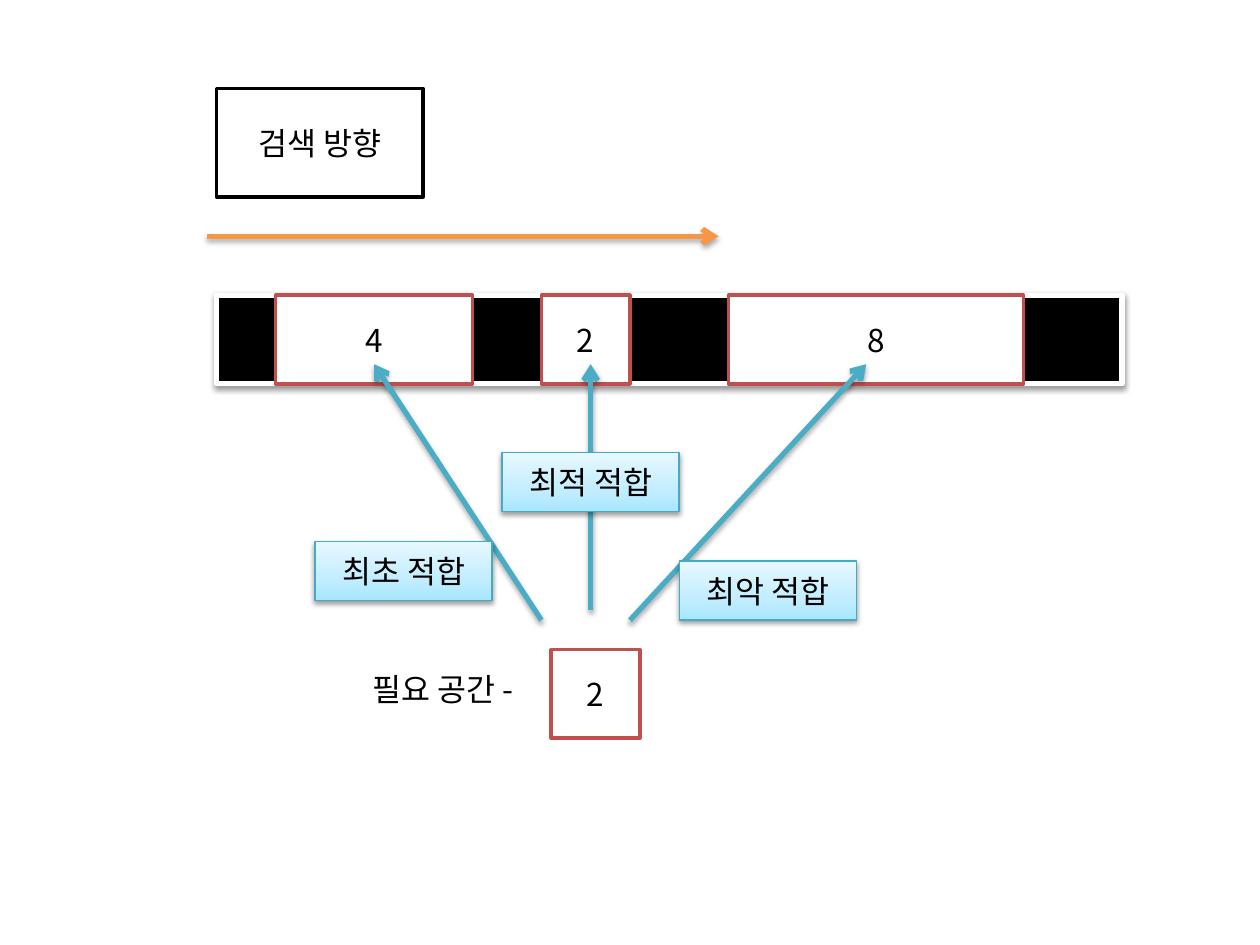
"""Draw a slide comparing first, best and worst fit memory allocation."""
from copy import deepcopy

from pptx import Presentation, util as u
from pptx.dml.color import RGBColor
from pptx.enum import shapes, text
from pptx.oxml import parse_xml
from pptx.oxml.ns import nsdecls, qn

FONT = "Noto Sans CJK KR"
GRADIENT = [(0, "A7E6FF"), (0.35, "C1EDFF"), (1, "E7F8FF")]

deck = Presentation()
deck.slide_width, deck.slide_height = u.Inches(10), u.Inches(7.5)
page = deck.slides.add_slide(deck.slide_layouts[6])
unit = deck.slide_width / 128


def paint(target, color):
    target.rgb = RGBColor.from_string(color)


def add_shadow(item, opacity, distance):
    item._element.spPr.append(parse_xml(
        f'<a:effectLst {nsdecls("a")}><a:outerShdw blurRad="{u.Pt(3.1)}" dist="{u.Pt(distance)}" '
        f'dir="5400000" rotWithShape="0"><a:srgbClr val="000000"><a:alpha val="{opacity * 1000}"/>'
        '</a:srgbClr></a:outerShdw></a:effectLst>'))


memory = [("", 22, 30, 92, 9, "000000", "FFFFFF", 3)]
blocks = [(words, left, top, width, 9, "FFFFFF", "C0504D", 2) for words, left, top, width in [
    ("2", 55, 30, 9), ("4", 28, 30, 20), ("8", 74, 30, 30), ("2", 56, 66, 9)]]
need = [("필요 공간 -", 35, 65, 20, 10, "FFFFFF", "FFFFFF", 2)]
arrows = [(55, 63, 38, 37, "4BACC6"), (60, 62, 60, 37, "4BACC6"),
          (64, 63, 88, 37, "4BACC6"), (21, 24, 73, 24, "F79646")]
fits = [(words, left, top, 18, 6, None, "46AAC5", 0.75) for words, left, top in [
    ("최적 적합", 51, 46), ("최초 적합", 32, 55), ("최악 적합", 69, 57)]]
direction = [("검색 방향", 22, 9, 21, 11, "FFFFFF", "000000", 2)]

for item in memory + blocks + need + arrows + fits + direction:
    if item in arrows:
        *ends, color = item
        arrow = page.shapes.add_connector(
            shapes.MSO_CONNECTOR.STRAIGHT, *[round(end * unit) for end in ends])
        paint(arrow.line.color, color)
        arrow.line.width = u.Pt(3)
        arrow.line._get_or_add_ln().append(parse_xml(f'<a:tailEnd {nsdecls("a")} type="arrow"/>'))
        add_shadow(arrow, 35, 1.8)
        continue

    words, *place, fill, outline, weight = item
    box = page.shapes.add_shape(
        shapes.MSO_SHAPE.RECTANGLE, *[round(length * unit) for length in place])
    if fill:
        box.fill.solid()
        paint(box.fill.fore_color, fill)
    else:
        box.fill.gradient()
        box.fill.gradient_angle = 90
        stops = box._element.spPr.find(".//" + qn("a:gsLst"))
        stops.insert(1, deepcopy(stops[0]))
        for stop, (position, color) in zip(box.fill.gradient_stops, GRADIENT):
            stop.position = position
            paint(stop.color, color)
    paint(box.line.color, outline)
    box.line.width = u.Pt(weight)
    if item in memory + fits:
        add_shadow(box, 38, 1.6)
    else:
        box.shadow.inherit = False

    if words:
        box.text_frame.text = words
        box.text_frame.word_wrap = True
        box.text_frame.vertical_anchor = text.MSO_ANCHOR.MIDDLE
        para = box.text_frame.paragraphs[0]
        para.alignment = text.PP_ALIGN.CENTER
        span = para.runs[0]
        span.font.size = u.Pt(18)
        span.font.name = FONT
        paint(span.font.color, "000000")
        span.font._element.append(parse_xml(f'<a:ea {nsdecls("a")} typeface="{FONT}"/>'))

deck.save("out.pptx")
